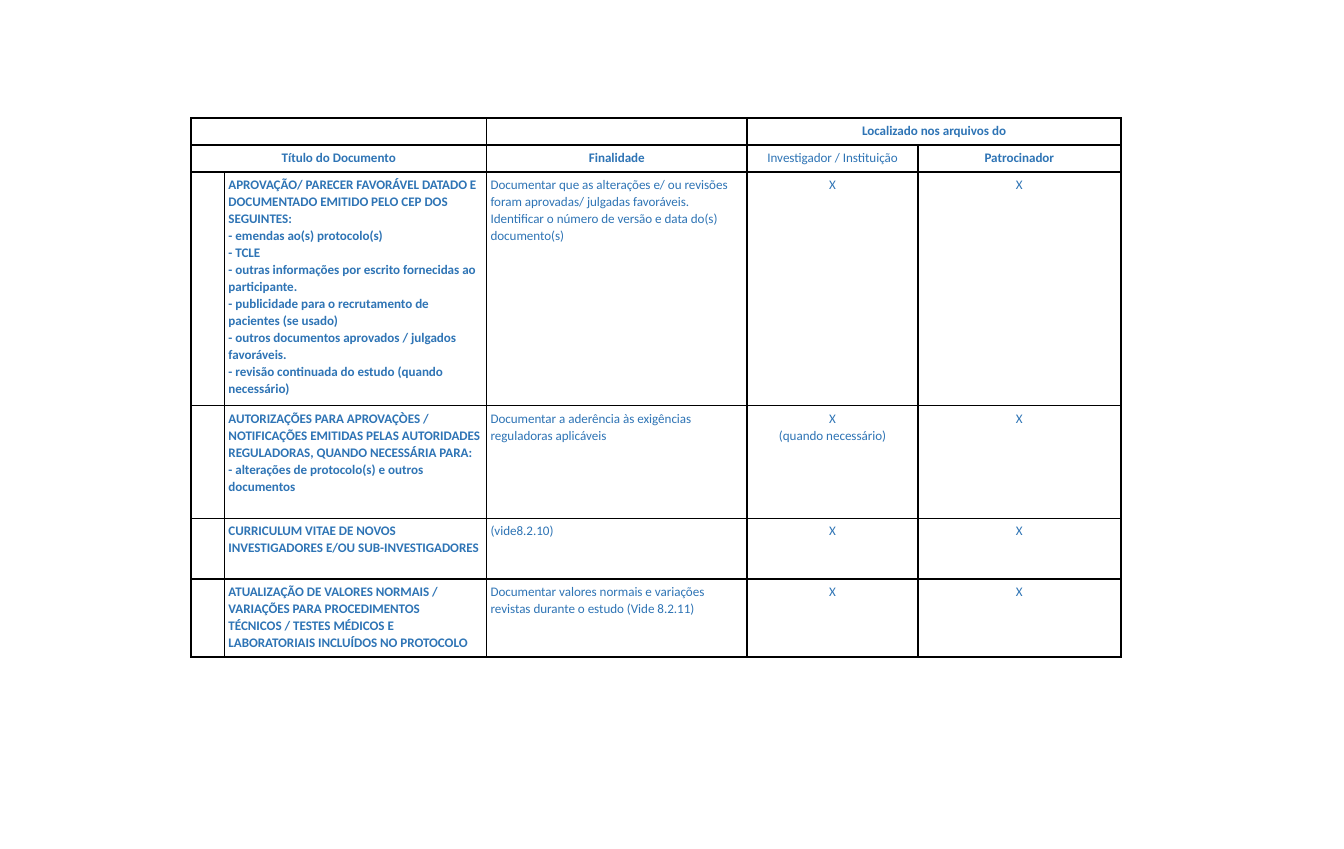
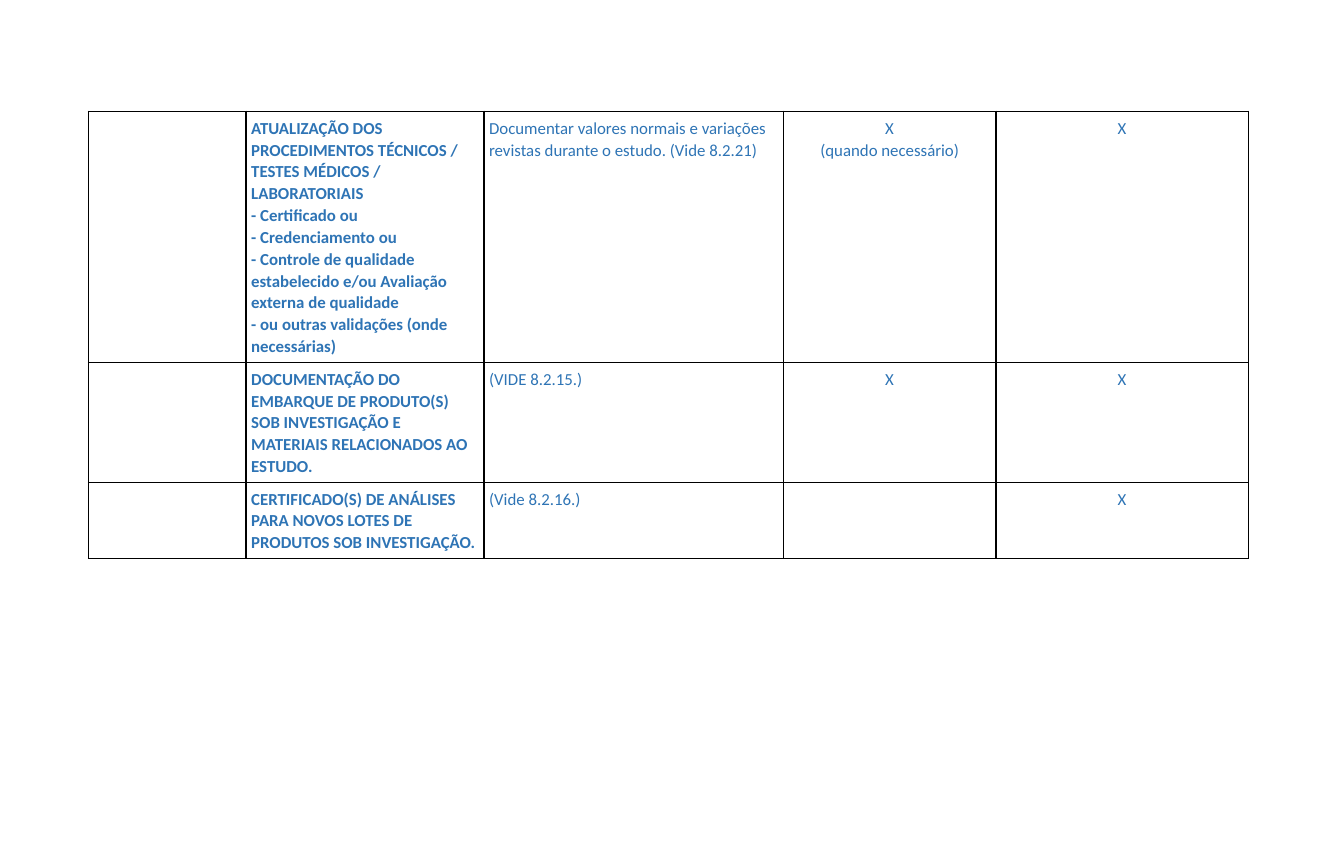
from lxml import etree
from pptx import Presentation
from pptx import util as u
from pptx.dml.color import RGBColor
from pptx.enum import text
from pptx.oxml.ns import qn

BLUE, BLACK = "2E74B5", "000000"
FONT = "Calibri"
ONCE = "X\n(quando necessário)"

HEADS = [
    ["", "", "", "Localizado nos arquivos do", ""],
    ["Título do Documento", "", "Finalidade", "Investigador / Instituição", "Patrocinador"],
]
CHANGES = [
    ["", "APROVAÇÃO/ PARECER FAVORÁVEL DATADO E DOCUMENTADO EMITIDO PELO CEP DOS SEGUINTES:\n"
         "- emendas ao(s) protocolo(s)\n"
         "- TCLE\n"
         "- outras informações por escrito fornecidas ao participante.\n"
         "- publicidade para o recrutamento de pacientes (se usado)\n"
         "- outros documentos aprovados / julgados favoráveis.\n"
         "- revisão continuada do estudo (quando necessário)",
     "Documentar que as alterações e/ ou revisões foram aprovadas/ julgadas favoráveis. "
     "Identificar o número de versão e data do(s) documento(s)", "X", "X"],
    ["", "AUTORIZAÇÕES PARA APROVAÇÒES / NOTIFICAÇÕES EMITIDAS PELAS AUTORIDADES "
         "REGULADORAS, QUANDO NECESSÁRIA PARA:\n"
         "- alterações de protocolo(s) e outros documentos",
     "Documentar a aderência às exigências reguladoras aplicáveis", ONCE, "X"],
    ["", "CURRICULUM VITAE DE NOVOS INVESTIGADORES E/OU SUB-INVESTIGADORES",
     "(vide8.2.10)", "X", "X"],
    ["", "ATUALIZAÇÃO DE VALORES NORMAIS / VARIAÇÕES PARA PROCEDIMENTOS TÉCNICOS / "
         "TESTES MÉDICOS E LABORATORIAIS INCLUÍDOS NO PROTOCOLO",
     "Documentar valores normais e variações revistas durante o estudo (Vide 8.2.11)", "X", "X"],
]
UPDATES = [
    ["", "ATUALIZAÇÃO DOS PROCEDIMENTOS TÉCNICOS / TESTES MÉDICOS / LABORATORIAIS\n"
         "- Certificado ou\n"
         "- Credenciamento ou\n"
         "- Controle de qualidade estabelecido e/ou Avaliação externa de qualidade\n"
         "- ou outras validações (onde necessárias)",
     "Documentar valores normais e variações revistas durante o estudo. (Vide 8.2.21)", ONCE, "X"],
    ["", "DOCUMENTAÇÃO DO EMBARQUE DE PRODUTO(S) SOB INVESTIGAÇÃO E MATERIAIS "
         "RELACIONADOS AO ESTUDO.", "(VIDE 8.2.15.)", "X", "X"],
    ["", "CERTIFICADO(S) DE ANÁLISES PARA NOVOS LOTES DE PRODUTOS SOB INVESTIGAÇÃO.",
     "(Vide 8.2.16.)", "", "X"],
]


def paint(code):
    return RGBColor.from_string(code)


def apply(item, values):
    for name, value in values.items():
        setattr(item, name, value)


class Deck:
    def __init__(self, width, height):
        self.deck = Presentation()
        apply(self.deck, {"slide_width": u.Inches(width), "slide_height": u.Inches(height)})
        self.slide = None

    def page(self):
        self.slide = self.deck.slides.add_slide(self.deck.slide_layouts[6])

    def border(self, cell):
        props = cell._tc.get_or_add_tcPr()
        for side in "LRTB":
            line = etree.SubElement(props, qn(f"a:ln{side}"), w=str(u.Pt(1)))
            fill = etree.SubElement(line, qn("a:solidFill"))
            etree.SubElement(fill, qn("a:srgbClr"), val=BLACK)

    def label(self, cell, words, size, bold, align):
        cell.text = words
        for para in cell.text_frame.paragraphs:
            apply(para, {"alignment": align, "line_spacing": 1.07})
            for run in para.runs:
                apply(run.font, {"name": FONT, "size": u.Pt(size), "bold": bold})
                run.font.color.rgb = paint(BLUE)
            if not para.runs:  # keeps a blank cell from stretching its row
                etree.SubElement(para._p, qn("a:endParaRPr"), sz=str(size * 100))

    def table(self, left, top, cols, rows, cells, size, inset, heads=0, spans=()):
        """Draw a grid; spans lists (row, first column, last column) to merge."""
        frame = self.slide.shapes.add_table(
            len(rows), len(cols), u.Inches(left), u.Inches(top),
            u.Inches(sum(cols)), u.Inches(sum(rows)))
        grid = frame.table
        apply(grid, {"first_row": False, "horz_banding": False})
        for col, width in zip(grid.columns, cols):
            col.width = u.Inches(width)
        for row, height in zip(grid.rows, rows):
            row.height = u.Inches(height)
        for r, c, last in spans:
            grid.cell(r, c).merge(grid.cell(r, last))
        sides = ("left", "right", "top", "bottom")
        gaps = {f"margin_{side}": u.Inches(inset) for side in sides}
        for r, line in enumerate(cells):
            for c, words in enumerate(line):
                cell = grid.cell(r, c)
                apply(cell, gaps)
                self.border(cell)
                cell.fill.background()
                head = r < heads
                bold = c == 1 or (head and (r, c) != (1, 3))
                mid = head or c > 2
                align = text.PP_ALIGN.CENTER if mid else text.PP_ALIGN.LEFT
                self.label(cell, words, size, bold, align)


def main():
    deck = Deck(10, 6.32)
    deck.page()
    deck.table(1.42, 0.88, [0.25, 1.95, 1.94, 1.27, 1.51],
               [0.2, 0.2, 1.74, 0.84, 0.45, 0.58], HEADS + CHANGES, 7, 0.03,
               heads=len(HEADS), spans=[(0, 0, 1), (0, 3, 4), (1, 0, 1)])
    deck.page()
    deck.table(0.66, 0.83, [1.17, 1.77, 2.23, 1.58, 1.88],
               [1.85, 0.89, 0.56], UPDATES, 9, 0.04)
    deck.deck.save("out.pptx")


if __name__ == "__main__":
    main()
